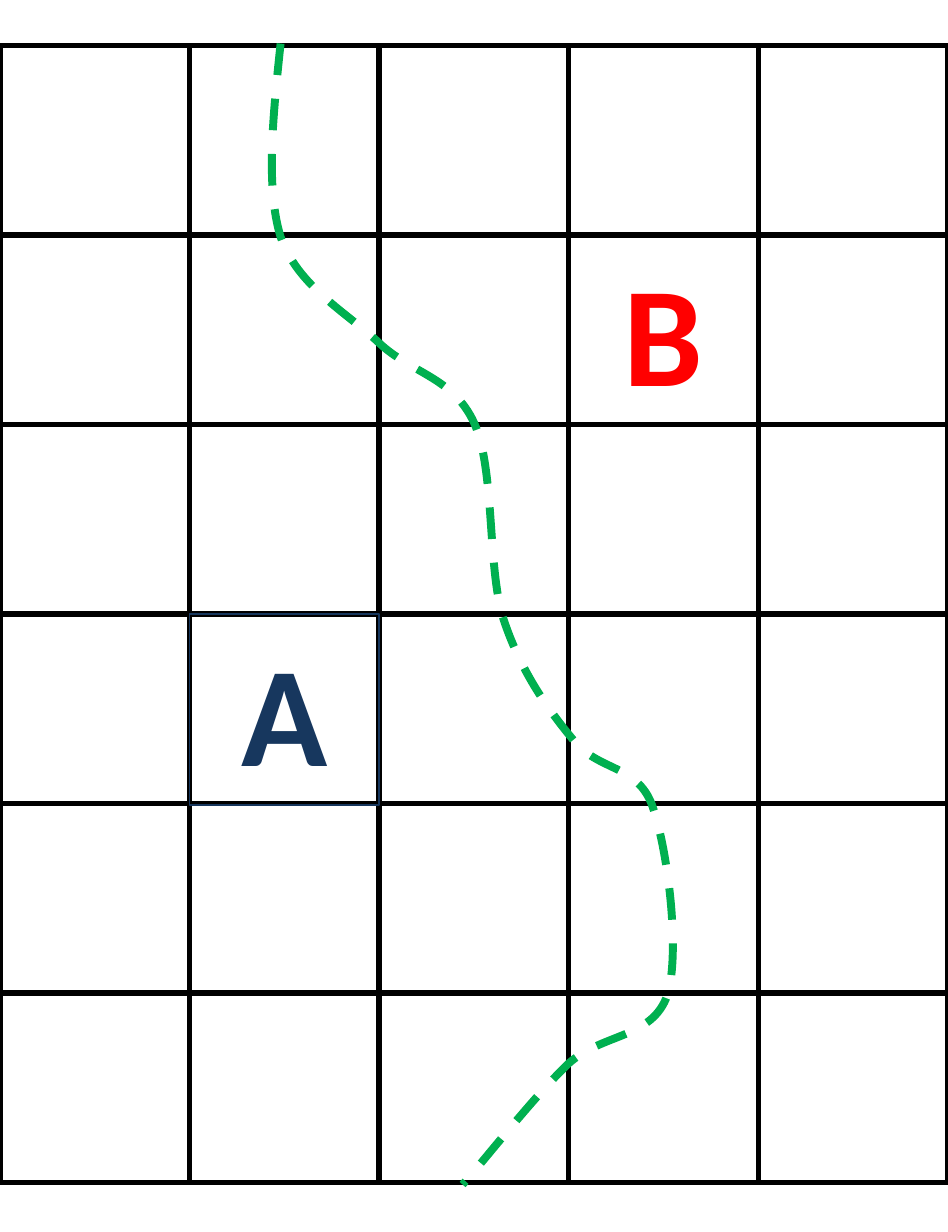
from itertools import product

from lxml.etree import SubElement
from pptx import Presentation
from pptx.dml.color import RGBColor
from pptx.enum.dml import MSO_LINE_DASH_STYLE as Dash
from pptx.enum.shapes import MSO_SHAPE as Shape
from pptx.enum.text import MSO_ANCHOR as Anchor, MSO_AUTO_SIZE as AutoSize, PP_ALIGN as Align
from pptx.oxml.ns import qn
from pptx.util import Inches, Pt

BLACK = RGBColor(0x00, 0x00, 0x00)
WHITE = RGBColor(0xFF, 0xFF, 0xFF)
NAVY = RGBColor(0x17, 0x37, 0x5E)
RED = RGBColor(0xFF, 0x00, 0x00)
GREEN = RGBColor(0x00, 0xB0, 0x50)

COLUMNS, ROWS = 5, 6
CELL = 1
GRID_TOP = 0.24
LABEL_HEIGHT = 1.01

# River route in (column, row) units: a start, then two controls and an end per curve
ROUTE_START = (1.48, -0.01)
ROUTE_CURVES = [
    [(1.44, 0.37), (1.4, 0.75), (1.48, 1.01)],
    [(1.57, 1.27), (1.83, 1.41), (2, 1.57)],
    [(2.17, 1.73), (2.39, 1.75), (2.5, 1.99)],
    [(2.61, 2.23), (2.57, 2.73), (2.65, 3.01)],
    [(2.74, 3.29), (2.88, 3.49), (3.02, 3.66)],
    [(3.15, 3.83), (3.36, 3.79), (3.44, 4.01)],
    [(3.52, 4.23), (3.59, 4.78), (3.52, 5.01)],
    [(3.44, 5.24), (3.18, 5.21), (3, 5.37)],
    [(2.82, 5.54), (2.54, 5.9), (2.44, 6.01)],
]


def grid_point(column, row):
    return Inches(column * CELL), Inches(GRID_TOP + row * CELL)


def set_format(target, values):
    for name, value in values.items():
        setattr(target, name, value)


def style_line(shape, color, width):
    shape.shadow.inherit = False
    shape.line.color.rgb = color
    shape.line.width = Pt(width)


def add_square(page, column, row, color, width, height=CELL):
    square = page.shapes.add_shape(
        Shape.RECTANGLE, *grid_point(column, row), Inches(CELL), Inches(height))
    style_line(square, color, width)
    return square


def add_grid(page):
    for row, column in product(range(ROWS), range(COLUMNS)):
        square = add_square(page, column, row, BLACK, 2)
        square.fill.solid()
        square.fill.fore_color.rgb = WHITE


def add_route(page):
    points = [grid_point(*point) for curve in ROUTE_CURVES for point in curve]
    builder = page.shapes.build_freeform(*grid_point(*ROUTE_START))
    builder.add_line_segments(points, close=False)
    route = builder.convert_to_shape()
    route.fill.background()
    style_line(route, GREEN, 3)
    route.line.dash_style = Dash.DASH

    # Join every three straight steps into one Bezier curve
    steps = list(route._element.iter(qn("a:lnTo")))
    outline = steps[0].getparent()
    for first in range(0, len(steps), 3):
        curve = SubElement(outline, qn("a:cubicBezTo"))
        for step in steps[first:first + 3]:
            curve.append(step[0])
            outline.remove(step)


def write_letter(box, letter, color, anchor):
    set_format(box.text_frame, {
        "word_wrap": True,
        "auto_size": AutoSize.SHAPE_TO_FIT_TEXT,
        "vertical_anchor": anchor,
    })
    para = box.text_frame.paragraphs[0]
    para.alignment = Align.CENTER
    span = para.add_run()
    span.text = letter
    set_format(span.font, {"name": "Calibri", "size": Pt(54), "bold": True})
    span.font.color.rgb = color


def main():
    deck = Presentation()
    set_format(deck, {"slide_width": Inches(5), "slide_height": Inches(6.5)})
    page = deck.slides.add_slide(deck.slide_layouts[6])

    # Map
    add_grid(page)
    add_route(page)

    # Letters
    outlined = add_square(page, 1, 3, NAVY, 0.75, LABEL_HEIGHT)
    outlined.fill.background()
    write_letter(outlined, "A", NAVY, Anchor.MIDDLE)
    plain = page.shapes.add_textbox(*grid_point(3, 1), Inches(CELL), Inches(LABEL_HEIGHT))
    write_letter(plain, "B", RED, Anchor.TOP)

    deck.save("out.pptx")


main()
